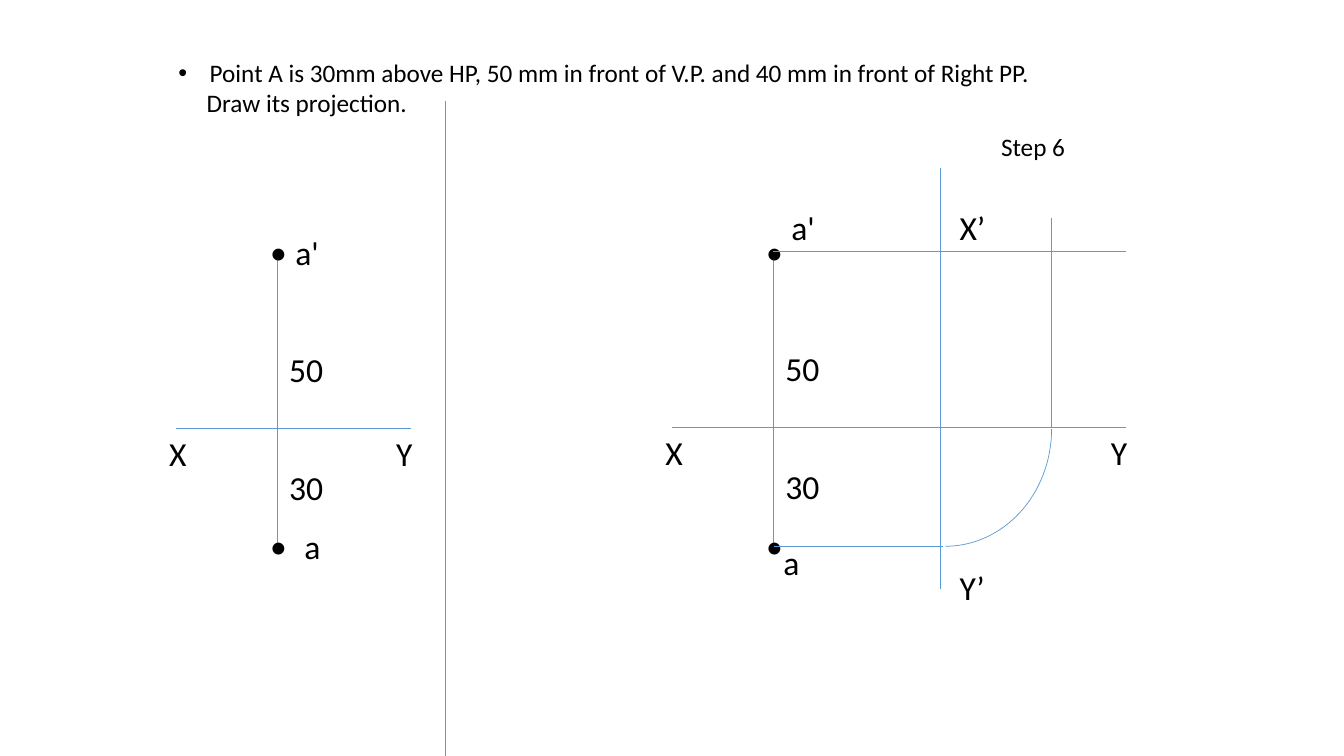
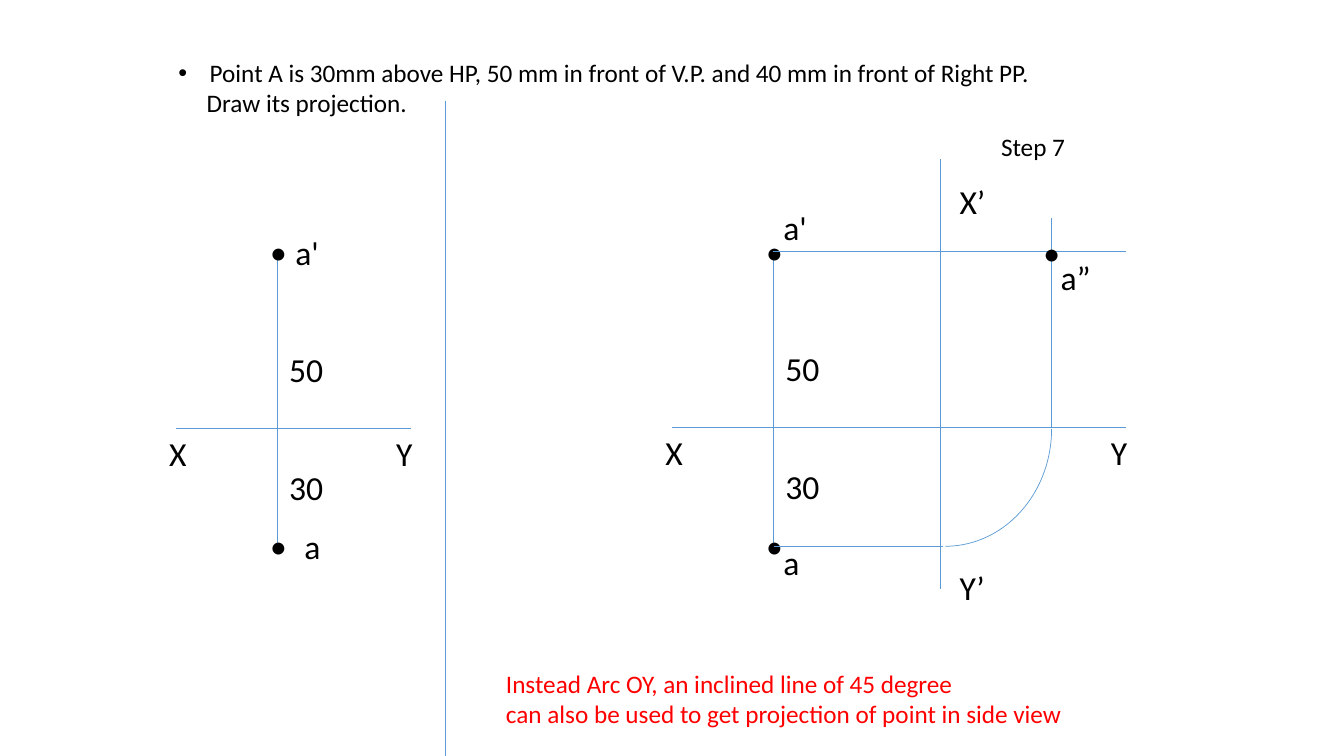
import pptx
import pptx.dml.color
import pptx.enum.shapes
import pptx.enum.text
import pptx.util
from lxml import etree
from pptx.oxml.ns import qn
from pptx.util import Inches

FONT = "Calibri"
BLACK = "000000"
RED = "FF0000"
LINE_BLUE = "5B9BD5"
LABEL_SIZE = 24
TEXT_SIZE = 18

STATEMENT = "Point A is 30mm above HP, 50 mm in front of V.P. and 40 mm in front of Right PP."
TASK = "Draw its projection."
ARC_NOTE = ("Instead Arc OY, an inclined line of 45 degree",
            "can also be used to get projection of point in side view")


def rgb(hex_value):
    return pptx.dml.color.RGBColor.from_string(hex_value)


def format_paragraph(paragraph, size, color=BLACK):
    paragraph.font.name = FONT
    paragraph.font.size = pptx.util.Pt(size)
    paragraph.font.color.rgb = rgb(color)


def place(shape, left, top, width, height):
    shape.left, shape.top = Inches(left), Inches(top)
    shape.width, shape.height = Inches(width), Inches(height)


def add_text(shapes, lines, left, top, width, height, size=LABEL_SIZE, color=BLACK):
    box = shapes.add_textbox(Inches(left), Inches(top), Inches(width), Inches(height))
    frame = box.text_frame
    frame.word_wrap = True
    frame.auto_size = pptx.enum.text.MSO_AUTO_SIZE.SHAPE_TO_FIT_TEXT
    frame.text = "\n".join(lines)
    for paragraph in frame.paragraphs:
        format_paragraph(paragraph, size, color)


def add_label(shapes, text, left, top):
    add_text(shapes, [text], left, top, 0.92, 0.5)


def add_point(shapes, x, y):
    """Mark a projected point with a dot centred near (x, y)."""
    add_label(shapes, "•", x - 0.17, y - 0.26)


def style_line(shape):
    shape.line.color.rgb = rgb(LINE_BLUE)
    shape.line.width = pptx.util.Pt(0.5)


def add_line(shapes, x1, y1, x2, y2):
    line = shapes.add_connector(pptx.enum.shapes.MSO_CONNECTOR.STRAIGHT,
                                Inches(x1), Inches(y1), Inches(x2), Inches(y2))
    style_line(line)
    etree.SubElement(line._element.spPr, qn("a:effectLst"))


def add_quarter_arc(shapes, left, top, width, height):
    """Draw the lower right quarter of an ellipse."""
    arc = shapes.add_shape(pptx.enum.shapes.MSO_SHAPE.ARC, Inches(left), Inches(top),
                           Inches(width), Inches(height))
    arc.rotation = 90
    arc.shadow.inherit = False
    arc.fill.background()
    style_line(arc)


def set_list_format(paragraph, margin, indent, bullet=None):
    properties = paragraph._p.get_or_add_pPr()
    properties.set("marL", str(Inches(margin)))
    properties.set("indent", str(Inches(indent)))
    if bullet:
        etree.SubElement(properties, qn("a:buFont"), typeface="Arial")
        etree.SubElement(properties, qn("a:buChar"), char=bullet)
    else:
        etree.SubElement(properties, qn("a:buNone"))
    paragraph.space_before = pptx.util.Pt(0)


def fill_problem(slide):
    """Write the problem statement into the body placeholder."""
    title = slide.shapes.title._element
    title.getparent().remove(title)
    body = slide.placeholders[1]
    place(body, 1.67, 0.52, 9.5, 0.71)
    frame = body.text_frame
    frame.auto_size = pptx.enum.text.MSO_AUTO_SIZE.SHAPE_TO_FIT_TEXT
    frame.text = f"{STATEMENT}\n{TASK}"
    statement, task = frame.paragraphs
    set_list_format(statement, 0.31, -0.31, "•")
    set_list_format(task, 0.28, 0)
    for paragraph in frame.paragraphs:
        format_paragraph(paragraph, TEXT_SIZE)


def draw_front_and_top_views(shapes, projector_x, axis_y, axis_end, front_label, top_label):
    """Draw the XY axis, the projector and the points a' and a."""
    add_line(shapes, projector_x - 1, axis_y, axis_end, axis_y)
    add_line(shapes, projector_x, axis_y - 1.75, projector_x, axis_y + 1.17)
    for point_y in (2.5, 5.42):
        add_point(shapes, projector_x, point_y)
    add_label(shapes, "X", projector_x - 1.17, axis_y)
    add_label(shapes, "Y", axis_end - 0.25, axis_y)
    add_label(shapes, "a'", *front_label)
    add_label(shapes, "a", *top_label)
    add_label(shapes, "50", projector_x + 0.02, axis_y - 0.84)
    add_label(shapes, "30", projector_x + 0.02, axis_y + 0.33)


def draw_side_view(shapes, axis_top, x_label_top):
    """Draw the X'Y' axis and carry both points over to the side view."""
    add_line(shapes, 9.33, axis_top, 9.33, 5.84)
    add_label(shapes, "X’", 9.42, x_label_top)
    add_label(shapes, "Y’", 9.42, 5.58)
    add_line(shapes, 7.68, 5.42, 9.35, 5.42)
    add_quarter_arc(shapes, 8.21, 3.2, 2.33, 2.11)
    add_line(shapes, 10.43, 4.25, 10.43, 2.16)
    add_line(shapes, 7.67, 2.49, 11.17, 2.49)


def add_step(presentation, number, front_label_x, axis_top, x_label_top):
    """Add a step slide and return it with the group of its right figure."""
    slide = presentation.slides.add_slide(presentation.slide_layouts[1])
    fill_problem(slide)
    two_views = slide.shapes.add_group_shape().shapes
    draw_front_and_top_views(two_views, 2.75, 4.25, 4.08, (2.83, 2.25), (2.92, 5.17))
    add_line(slide.shapes, 4.42, 1, 4.42, 7.5)
    three_views = slide.shapes.add_group_shape().shapes
    draw_front_and_top_views(three_views, 7.67, 4.24, 11.17, (front_label_x, 2), (7.67, 5.33))
    draw_side_view(three_views, axis_top, x_label_top)
    add_text(slide.shapes, [f"Step {number}"], 9.83, 1.25, 1.42, 0.42, TEXT_SIZE)
    return slide, three_views


def main():
    presentation = pptx.Presentation()
    presentation.slide_width = Inches(13.33)
    presentation.slide_height = Inches(7.5)

    add_step(presentation, 6, front_label_x=7.75, axis_top=1.67, x_label_top=2)

    slide, three_views = add_step(presentation, 7, front_label_x=7.67,
                                  axis_top=1.58, x_label_top=1.75)
    add_label(three_views, "a”", 10.42, 2.5)
    add_point(three_views, 10.42, 2.51)
    add_text(slide.shapes, ARC_NOTE, 4.92, 6.58, 6.33, 0.71, TEXT_SIZE, RED)

    presentation.save("out.pptx")


if __name__ == "__main__":
    main()
